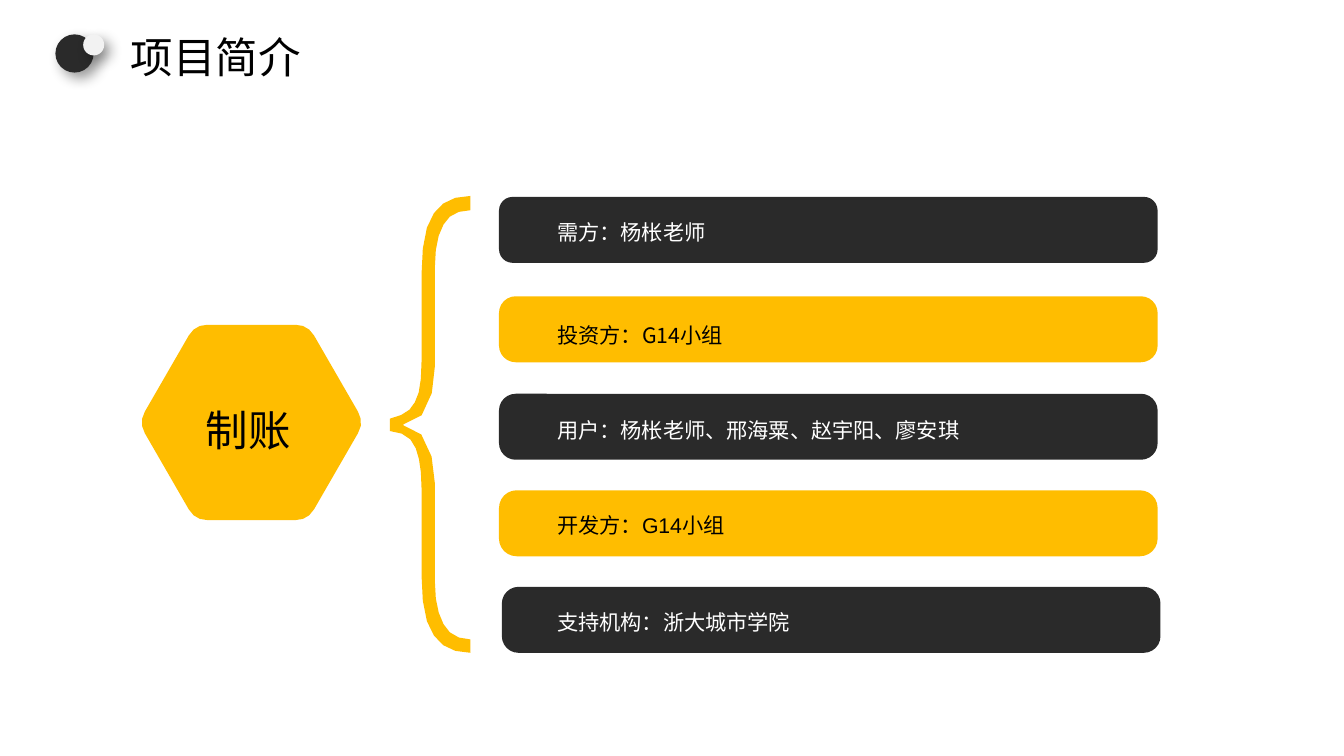
import math

from lxml import etree
from pptx import Presentation
from pptx.dml.color import RGBColor
from pptx.enum import lang, shapes, text
from pptx.oxml import ns
from pptx.util import Inches, Pt

GOLD = RGBColor(0xFF, 0xBD, 0x00)
DARK = RGBColor(0x2A, 0x2A, 0x2A)
PALE = RGBColor(0xF2, 0xF2, 0xF2)
BLACK = RGBColor(0, 0, 0)
WHITE = RGBColor(0xFF, 0xFF, 0xFF)
ARIAL = "Arial"
NOTO = "Noto Sans CJK SC"

BARS = [
    (5.22, 2.06, 0.206, DARK, WHITE, 2.25, "需方：杨枨老师", ARIAL),
    (5.22, 3.1, 0.253, GOLD, BLACK, 3.33, "投资方：G14小组", NOTO),
    (5.22, 4.12, 0.253, DARK, WHITE, 4.32, "用户：杨枨老师、邢海粟、赵宇阳、廖安琪", NOTO),
    (5.22, 5.13, 0.268, GOLD, BLACK, 5.32, "开发方：G14小组", ARIAL),
    (5.25, 6.14, 0.253, DARK, WHITE, 6.33, "支持机构：浙大城市学院", NOTO),
]

BRACE = [
    [(4.55, 5.06)],
    [(4.55, 6.09)],
    [(4.55, 6.28), (4.58, 6.42), (4.64, 6.53)],
    [(4.69, 6.63), (4.79, 6.69), (4.92, 6.69)],
    [(4.92, 6.83)],
    [(4.75, 6.83), (4.62, 6.77), (4.54, 6.65)],
    [(4.45, 6.53), (4.41, 6.32), (4.41, 6.01)],
    [(4.41, 5.1)],
    [(4.41, 4.93), (4.39, 4.79), (4.35, 4.69)],
    [(4.31, 4.58), (4.22, 4.52), (4.08, 4.51)],
    [(4.08, 4.38)],
    [(4.21, 4.35), (4.3, 4.3), (4.34, 4.21)],
    [(4.39, 4.13), (4.41, 3.98), (4.41, 3.79)],
    [(4.41, 2.88)],
    [(4.41, 2.57), (4.45, 2.35), (4.54, 2.23)],
    [(4.62, 2.11), (4.75, 2.05), (4.92, 2.05)],
    [(4.92, 2.2)],
    [(4.79, 2.2), (4.69, 2.25), (4.64, 2.35)],
    [(4.58, 2.45), (4.55, 2.6), (4.55, 2.79)],
    [(4.55, 3.83)],
    [(4.55, 4.11), (4.46, 4.44), (4.22, 4.44)],
    [(4.22, 4.45)],
    [(4.45, 4.45), (4.55, 4.78), (4.55, 5.06)],
]


def curve(knots, steps=3):
    deg = len(knots) - 1
    dots = []
    for step in range(1, steps + 1):
        t = step / steps
        mix = [math.comb(deg, i) * t**i * (1 - t) ** (deg - i) for i in range(deg + 1)]
        dots.append(tuple(sum(m * k[axis] for m, k in zip(mix, knots)) for axis in (0, 1)))
    return dots


def outline(path):
    dots = list(path[0])
    for part in path[1:]:
        dots += part if len(part) == 1 else curve([dots[-1], *part])
    return dots


def hexagon(x, y, size, cut):
    tips = [
        (x + size * math.cos(i * math.pi / 3), y + size * math.sin(i * math.pi / 3))
        for i in range(6)
    ]

    def toward(tip, goal):
        return tuple(a + (b - a) * cut / size for a, b in zip(tip, goal))

    path = []
    for i, tip in enumerate(tips):
        path.append([toward(tip, tips[i - 1])])
        path.append([tip, toward(tip, tips[(i + 1) % 6])])
    return path


def write(frame, words, size=16, font=ARIAL, color=BLACK, align=None, line=None):
    para = frame.paragraphs[0]
    para.alignment = align
    para.line_spacing = line
    run = para.add_run()
    run.text = words
    run.font.size = Pt(size)
    run.font.name = font
    run.font.color.rgb = color
    run.font.language_id = lang.MSO_LANGUAGE_ID.SIMPLIFIED_CHINESE


class Deck:
    def __init__(self, wide, high):
        self.show = Presentation()
        self.show.slide_width = Inches(wide)
        self.show.slide_height = Inches(high)
        self.slide = self.show.slides.add_slide(self.show.slide_layouts[6])

    def paint(self, item, color):
        item.fill.solid()
        item.fill.fore_color.rgb = color
        item.line.fill.background()
        item.shadow.inherit = False
        return item

    def shape(self, kind, box, color):
        item = self.slide.shapes.add_shape(kind, *map(Inches, box))
        return self.paint(item, color)

    def bar(self, x, y, curb, color):
        item = self.shape(shapes.MSO_SHAPE.ROUNDED_RECTANGLE, (x, y, 6.89, 0.69), color)
        item.adjustments[0] = curb

    def dot(self, x, y, size, color):
        item = self.shape(shapes.MSO_SHAPE.OVAL, (x, y, size, size), color)
        effects = item._element.spPr.find(ns.qn("a:effectLst"))
        shade = etree.SubElement(
            effects, ns.qn("a:outerShdw"), blurRad=str(Pt(10)), dist=str(Pt(6)),
            dir="2700000", algn="tl", rotWithShape="0")
        tint = etree.SubElement(shade, ns.qn("a:srgbClr"), val="000000")
        etree.SubElement(tint, ns.qn("a:alpha"), val="40000")

    def free(self, path, color):
        dots = [(Inches(x), Inches(y)) for x, y in outline(path)]
        pen = self.slide.shapes.build_freeform(*dots[0])
        pen.add_line_segments(dots[1:], close=True)
        self.paint(pen.convert_to_shape(), color)

    def label(self, box, words, side=0, top=0, **style):
        frame = self.slide.shapes.add_textbox(*map(Inches, box)).text_frame
        frame.word_wrap = True
        frame.vertical_anchor = text.MSO_ANCHOR.MIDDLE
        frame.margin_left = frame.margin_right = Inches(side)
        frame.margin_top = Inches(top)
        frame.margin_bottom = 0
        write(frame, words, **style)


def main():
    deck = Deck(14.06, 7.91)
    deck.free(hexagon(2.63, 4.42, 1.18, 0.13), GOLD)
    deck.label((1.9, 4.15, 1.4, 0.59), "制账", size=32,
               align=text.PP_ALIGN.CENTER, line=1.2)
    deck.free(BRACE, GOLD)
    for x, y, curb, fill, ink, top, words, font in BARS:
        deck.bar(x, y, curb, fill)
        deck.label((5.83, top, 5.34, 0.3), words, font=font, color=ink,
                   align=text.PP_ALIGN.JUSTIFY, line=1.2)
    deck.dot(0.58, 0.36, 0.4, DARK)
    deck.label((1.26, 0.27, 3.35, 0.4), "项目简介", side=0.11, top=0.25, size=32)
    deck.dot(0.87, 0.36, 0.22, PALE)
    deck.show.save("out.pptx")


if __name__ == "__main__":
    main()
